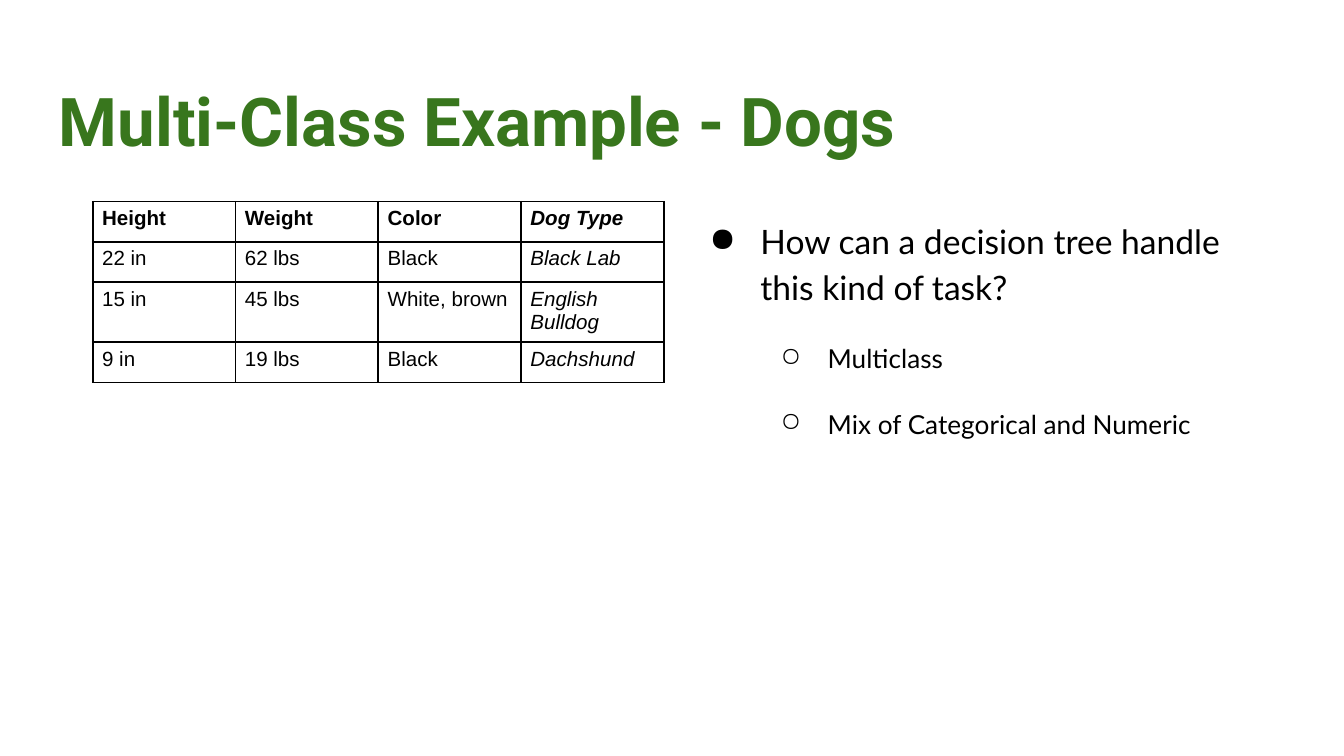
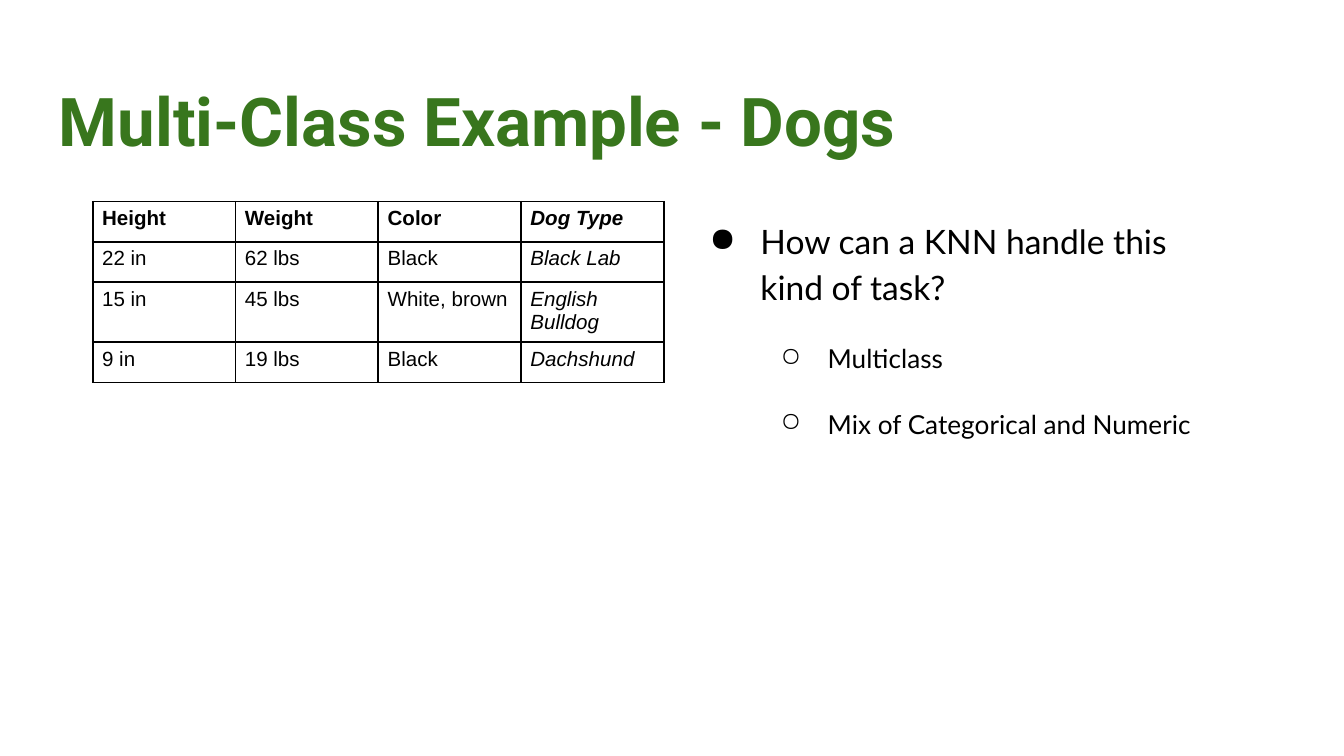
from dataclasses import dataclass

from lxml import etree
from pptx import Presentation
from pptx.dml.color import RGBColor
from pptx.enum.text import MSO_ANCHOR
from pptx.oxml.ns import qn
from pptx.util import Inches, Pt

TOP = MSO_ANCHOR.TOP


@dataclass(frozen=True)
class Theme:
    green: str = "38761D"
    black: str = "000000"
    white: str = "FFFFFF"
    title_size: int = 36
    question_size: int = 18
    point_size: int = 14
    table_size: int = 11
    border_width: int = 1


theme = Theme()

TITLE = "Multi-Class Example - Dogs"
DOGS = [
    ["Height", "Weight", "Color", "Dog Type"],
    ["22 in", "62 lbs", "Black", "Black Lab"],
    ["15 in", "45 lbs", "White, brown", "English Bulldog"],
    ["9 in", "19 lbs", "Black", "Dachshund"],
]
QUESTIONS = [
    "How can a decision tree handle this kind of task?",
    "How can a KNN handle this kind of task?",
]
POINTS = ["Multiclass", "Mix of Categorical and Numeric"]
LEVELS = [
    {"bullet": "●", "margin": 0.5, "indent": -0.38, "size": theme.question_size, "before": 0},
    {"bullet": "○", "margin": 1, "indent": -0.35, "size": theme.point_size, "before": 16},
]


def write(paragraph, text, color=theme.black, **formats):
    run = paragraph.add_run()
    run.text = text
    run.font.color.rgb = RGBColor.from_string(color)
    for name, value in formats.items():
        setattr(run.font, name, value)


def add_text_frame(slide, left, top, width, height):
    box = slide.shapes.add_textbox(Inches(left), Inches(top), Inches(width), Inches(height))
    frame = box.text_frame
    formats = {"word_wrap": True, "vertical_anchor": TOP}
    for side in ("left", "top", "right", "bottom"):
        formats[f"margin_{side}"] = Inches(0.1)
    for name, value in formats.items():
        setattr(frame, name, value)
    return frame


presentation = Presentation()
presentation.slide_width = Inches(10)
presentation.slide_height = Inches(5.625)

for question in QUESTIONS:
    slide = presentation.slides.add_slide(presentation.slide_layouts[6])
    slide.background.fill.solid()
    slide.background.fill.fore_color.rgb = RGBColor.from_string(theme.white)

    title = add_text_frame(slide, 0.34, 0.49, 9.32, 0.63)
    write(title.paragraphs[0], TITLE, theme.green,
          name="Roboto", size=Pt(theme.title_size), bold=True)

    table = slide.shapes.add_table(
        len(DOGS), len(DOGS[0]), Inches(0.69), Inches(1.5), Inches(4.25), Inches(1.2)
    ).table
    table.horz_banding = False
    for row_index, dog in enumerate(DOGS):
        for column_index, text in enumerate(dog):
            cell = table.cell(row_index, column_index)
            cell_formats = {
                "margin_left": Inches(0.07), "margin_right": Inches(0.07),
                "margin_top": Inches(0.04), "margin_bottom": Inches(0.04),
                "vertical_anchor": TOP,
            }
            for name, value in cell_formats.items():
                setattr(cell, name, value)
            write(cell.text_frame.paragraphs[0], text, name="Arial",
                  size=Pt(theme.table_size), bold=row_index == 0,
                  italic=column_index == len(dog) - 1)
            properties = cell._tc.get_or_add_tcPr()
            for edge in ("a:lnL", "a:lnR", "a:lnT", "a:lnB"):
                border = etree.SubElement(properties, qn(edge), w=str(Pt(theme.border_width)))
                line_fill = etree.SubElement(border, qn("a:solidFill"))
                etree.SubElement(line_fill, qn("a:srgbClr"), val=theme.black)
            cell.fill.background()

    body = add_text_frame(slide, 5.06, 1.5, 4.25, 3.57)
    for index, text in enumerate([question, *POINTS]):
        paragraph = body.paragraphs[0] if index == 0 else body.add_paragraph()
        paragraph.level = min(index, 1)
        level = LEVELS[paragraph.level]
        paragraph.line_spacing = 1.15
        paragraph.space_before = Pt(level["before"])
        properties = paragraph._p.get_or_add_pPr()
        properties.set("marL", str(Inches(level["margin"])))
        properties.set("indent", str(Inches(level["indent"])))
        bullet_color = etree.SubElement(properties, qn("a:buClr"))
        etree.SubElement(bullet_color, qn("a:srgbClr"), val=theme.black)
        etree.SubElement(properties, qn("a:buChar"), char=level["bullet"])
        write(paragraph, text, name="Lato", size=Pt(level["size"]))

presentation.save("out.pptx")
